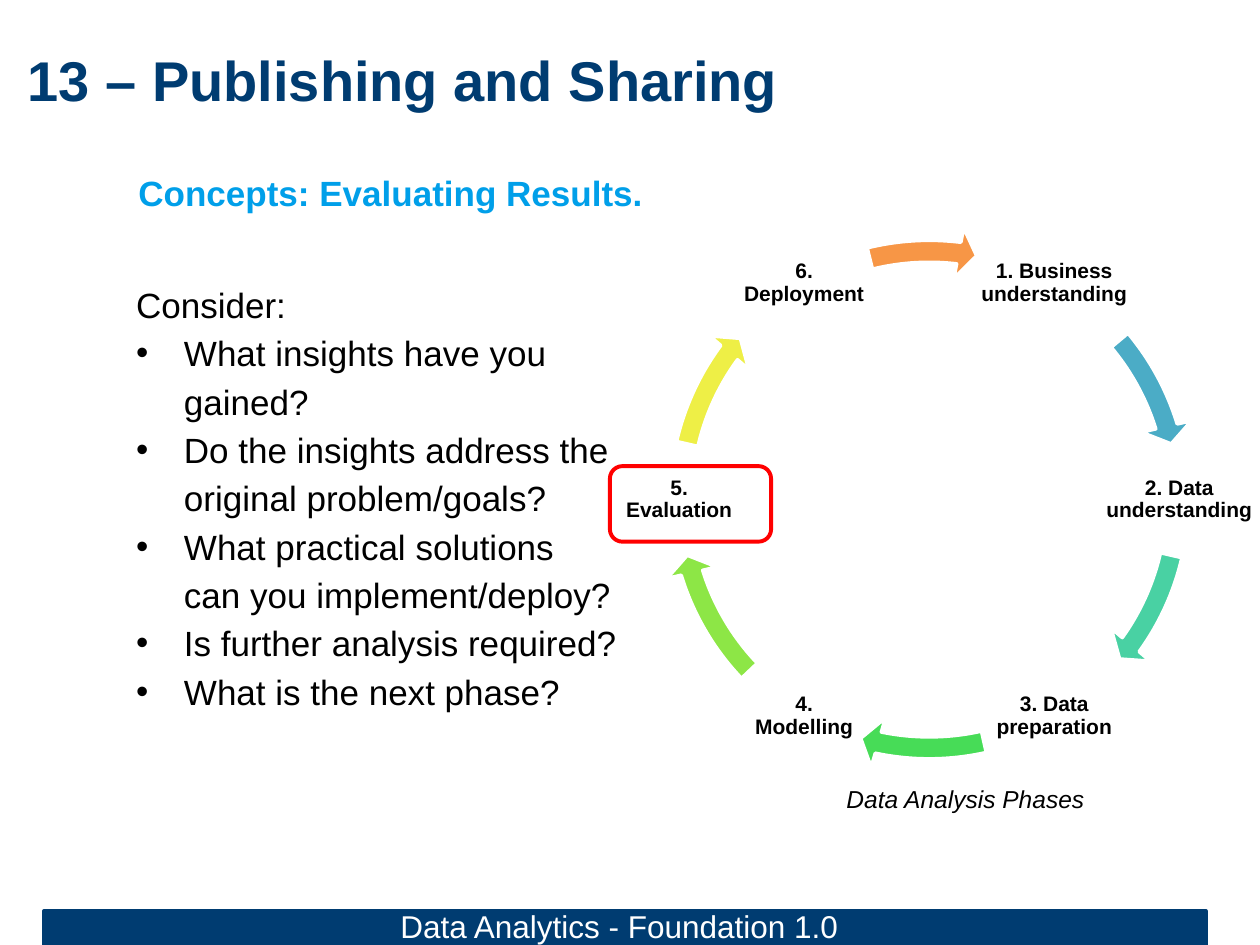
from dataclasses import dataclass
from math import cos, radians, sin

from lxml import etree
from pptx import Presentation
from pptx import util as u
from pptx.dml.color import RGBColor
from pptx.enum import shapes, text
from pptx.oxml.ns import qn


@dataclass(frozen=True)
class Theme:
    """Colours, font and type sizes of the slide."""
    font: str = "Arial"
    navy: str = "003C71"
    sky: str = "009FE9"
    black: str = "000000"
    white: str = "FFFFFF"
    red: str = "FF0000"
    title: int = 32
    body: int = 20
    footer: int = 18
    caption: int = 14
    label: int = 12


T = Theme()
W, H = u.Inches(10), u.Inches(7.5)
RING_X, RING_Y = int(W * 0.7375), int(H * 0.5287)
RING_SIZE, LABEL_RADIUS, LABEL_H = int(W * 0.435), W * 0.1985, int(H * 0.1187)
PHASES = [
    ("1. Business understanding", 12.3, "4BACC6", 205.72, 192.04),
    ("2. Data understanding", 12.6, "49D1A3", 21.45, 7.77),
    ("3. Data preparation", 11.1, "47DC57", 61.1, 46.37),
    ("4. Modelling", 8.9, "8DE646", 97.72, 81.84),
    ("5. Evaluation", 8.9, "EEEF46", 129.78, 115.77),
    ("6. Deployment", 10.3, "F79646", 166.1, 153.69),
]
QUESTIONS = [
    "What insights have you gained?",
    "Do the insights address the original problem/goals?",
    "What practical solutions can you implement/deploy?",
    "Is further analysis required?",
    "What is the next phase?",
]


def box(x, y, w, h):
    """Turn percentages of the slide's size into a position and size."""
    return int(W * x / 100), int(H * y / 100), int(W * w / 100), int(H * h / 100)


def place(sp, area):
    """Move a placeholder to an area."""
    sp.left, sp.top, sp.width, sp.height = area


def style(p, size, color, bold=False, italic=False):
    """Format every run of a paragraph."""
    for r in p.runs:
        f = r.font
        f.name, f.size, f.bold, f.italic = T.font, u.Pt(size), bold, italic
        f.color.rgb = RGBColor.from_string(color)


def add_text(s, area, content, size, color, **look):
    """Add a wrapped text box with one paragraph and return its frame."""
    tf = s.shapes.add_textbox(*area).text_frame
    tf.word_wrap = True
    tf.text = content
    style(tf.paragraphs[0], size, color, **look)
    return tf


def add_preset(s, kind, area, fill, line, width):
    """Add a flat preset shape, unfilled when fill is None."""
    sp = s.shapes.add_shape(kind, *area)
    sp.shadow.inherit = False
    if fill:
        sp.fill.solid()
        sp.fill.fore_color.rgb = RGBColor.from_string(fill)
    else:
        sp.fill.background()
    sp.line.color.rgb = RGBColor.from_string(line)
    sp.line.width = u.Pt(width)
    return sp


def set_bullet(p, char=None):
    """Give a paragraph a hanging bullet, or none at all."""
    pr = p._p.get_or_add_pPr()
    indent = u.Inches(0.38) if char else 0
    pr.set("marL", str(indent))
    pr.set("indent", str(-indent))
    if char:
        etree.SubElement(pr, qn("a:buFont")).set("typeface", T.font)
        etree.SubElement(pr, qn("a:buChar")).set("char", char)
    else:
        etree.SubElement(pr, qn("a:buNone"))


def fill_title(sp):
    """Write the slide's title."""
    place(sp, box(0, 0, 102.8, 16.67))
    tf = sp.text_frame
    tf.text = "13 – Publishing and Sharing"
    tf.margin_left = u.Inches(0.22)
    tf.vertical_anchor = text.MSO_ANCHOR.MIDDLE
    p = tf.paragraphs[0]
    p.alignment = text.PP_ALIGN.LEFT
    style(p, T.title, T.navy, bold=True)


def fill_list(sp):
    """Write the lead-in and the bulleted questions."""
    place(sp, box(9.8, 28.67, 40.2, 47.47))
    tf = sp.text_frame
    tf.text = "\n".join(["Consider:"] + QUESTIONS)
    tf.auto_size = text.MSO_AUTO_SIZE.NONE
    tf.margin_right = u.Inches(0.1)
    for i, p in enumerate(tf.paragraphs):
        p.line_spacing, p.space_before = 1.15, u.Pt(0)
        set_bullet(p, "•" if i else None)
        style(p, T.body, T.black)


def add_label(s, content, share, angle):
    """Centre a phase label on the ring at an angle."""
    width = int(W * share / 100)
    x = RING_X + LABEL_RADIUS * cos(radians(angle))
    y = RING_Y + LABEL_RADIUS * sin(radians(angle))
    area = int(x - width / 2), int(y - LABEL_H / 2), width, LABEL_H
    tf = add_text(s, area, content, T.label, T.black, bold=True)
    tf.margin_left = tf.margin_right = tf.margin_top = tf.margin_bottom = u.Pt(1)
    tf.vertical_anchor = text.MSO_ANCHOR.MIDDLE
    p = tf.paragraphs[0]
    p.alignment, p.line_spacing = text.PP_ALIGN.CENTER, 0.9


def add_arc(s, color, head, tail):
    """Add one arrow of the cycle."""
    area = RING_X - RING_SIZE // 2, RING_Y - RING_SIZE // 2, RING_SIZE, RING_SIZE
    sp = add_preset(s, shapes.MSO_SHAPE.CIRCULAR_ARROW, area, color, T.white, 2)
    for i, value in enumerate((0.04, 2.51, head, tail, 4.7 / 100)):
        sp.adjustments[i] = value


def add_cycle(s):
    """Draw the six phases with the arrows between them."""
    for i, (name, share, color, head, tail) in enumerate(PHASES):
        add_label(s, name, share, 60 * i - 60)
        add_arc(s, color, head, tail)


def main():
    """Build and save the slide."""
    prs = Presentation()
    prs.slide_width, prs.slide_height = W, H
    s = prs.slides.add_slide(prs.slide_layouts[1])
    kinds = shapes.MSO_SHAPE
    add_preset(s, kinds.RECTANGLE, box(3.5, 96.4, 92.2, 3.6), T.navy, T.navy, 2)
    add_cycle(s)
    add_text(s, box(10, 17.47, 85.6, 78.67), "Concepts: Evaluating Results.",
             T.body, T.sky, bold=True).paragraphs[0].space_before = u.Pt(4)
    fill_title(s.shapes.title)
    add_text(s, box(30.8, 95.33, 38.6, 5.33), "Data Analytics - Foundation 1.0",
             T.footer, T.white)
    add_preset(s, kinds.ROUNDED_RECTANGLE, box(48.4, 49.33, 12.8, 8),
               None, T.red, 2.25)
    add_text(s, box(66.2, 82.27, 23.6, 8.53), "Data Analysis Phases",
             T.caption, T.black, italic=True)
    fill_list(s.placeholders[1])
    prs.save("out.pptx")


if __name__ == "__main__":
    main()
